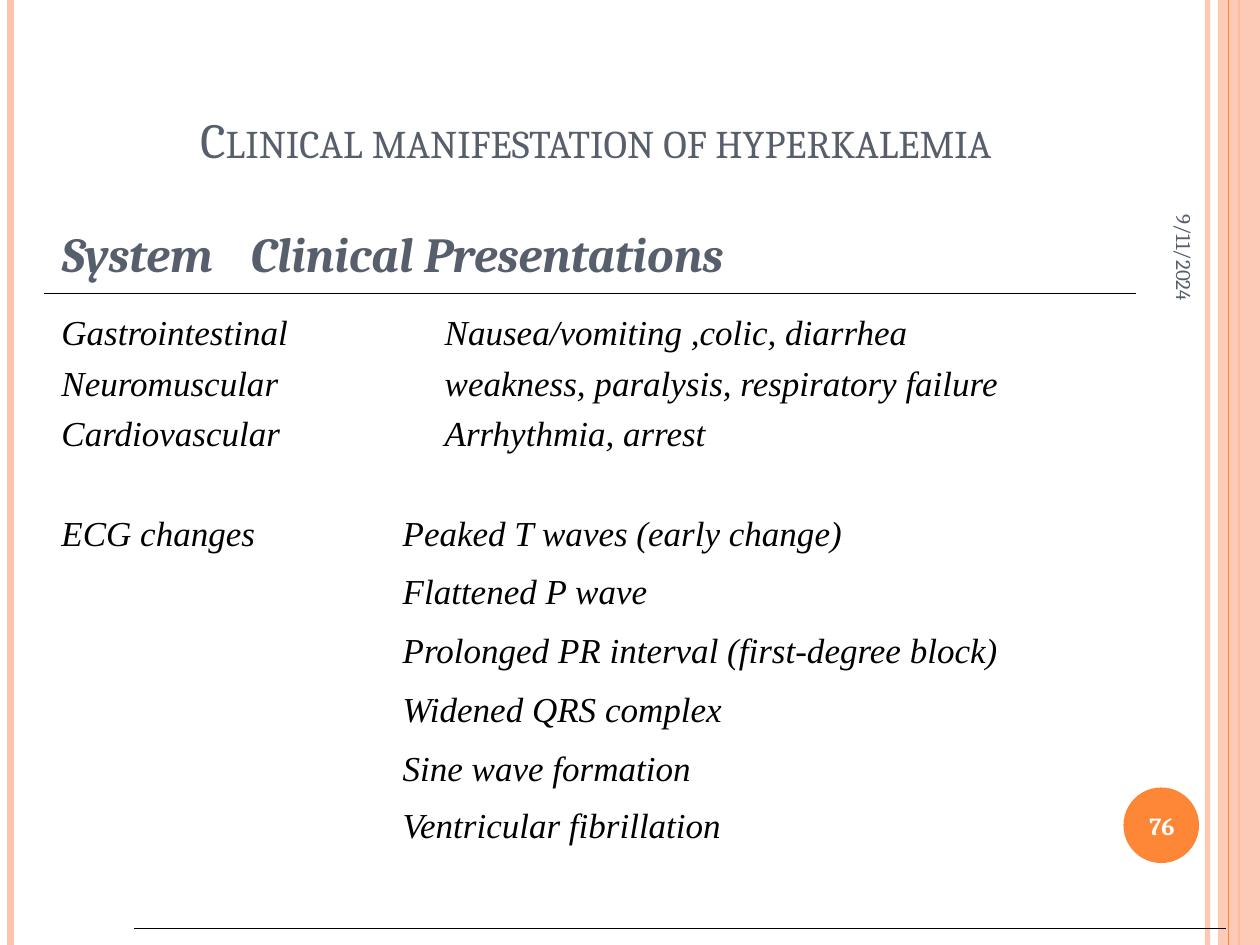
from lxml.etree import SubElement
from pptx import Presentation
from pptx.dml.color import RGBColor
from pptx.enum.shapes import MSO_CONNECTOR, MSO_SHAPE
from pptx.enum.text import MSO_ANCHOR, MSO_AUTO_SIZE, PP_ALIGN
from pptx.oxml.ns import qn
from pptx.util import Pt

WIDTH, HEIGHT = 720, 540
ORANGE, PEACH, SLATE, BLACK, WHITE = "FE8637", "FEC3AE", "575F6D", "000000", "FFFFFF"

HEADING = {"name": "Cambria", "size": Pt(28), "color": SLATE}
HEADER = {**HEADING, "bold": True, "italic": True}
BODY = {"name": "Times New Roman", "size": Pt(20), "color": BLACK, "italic": True}
DATE = {**HEADING, "size": Pt(12)}
NUMBER = {**HEADING, "size": Pt(14), "color": WHITE, "bold": True}

SYSTEM_TAB, ECG_TAB, HEADER_TAB = 219, 195, 222
ROW_GAP, GROUP_GAP = 4.8, 33
# text, tab stop, space before, line spacing
ROWS = [
    ("Gastrointestinal\tNausea/vomiting ,colic, diarrhea", SYSTEM_TAB, 0, 1),
    ("Neuromuscular\tweakness, paralysis, respiratory failure", SYSTEM_TAB, ROW_GAP, 1),
    ("Cardiovascular\tArrhythmia, arrest", SYSTEM_TAB, ROW_GAP, 1),
    ("ECG changes\tPeaked T waves (early change)", ECG_TAB, GROUP_GAP, 1),
    ("\tFlattened P wave", ECG_TAB, ROW_GAP, 1.2),
    ("\tProlonged PR interval (first-degree block)", ECG_TAB, ROW_GAP, 1.2),
    ("\tWidened QRS complex", ECG_TAB, ROW_GAP, 1.2),
    ("\tSine wave formation", ECG_TAB, ROW_GAP, 1.2),
    ("\tVentricular fibrillation", ECG_TAB, 8.4, 1),
]


def rgb(color):
    return RGBColor.from_string(color)


def set_alpha(color_format_parent, percent):
    """Make the solid colour found below an element partly transparent."""
    clr = next(color_format_parent.iter(qn("a:srgbClr")))
    SubElement(clr, qn("a:alpha"), val=str(percent * 1000))


def add_line(s, x1, y1, x2, y2, color, width, alpha=None):
    line = s.shapes.add_connector(MSO_CONNECTOR.STRAIGHT, Pt(x1), Pt(y1), Pt(x2), Pt(y2))
    line.line.color.rgb = rgb(color)
    line.line.width = Pt(width)
    if alpha:
        set_alpha(line.line._ln, alpha)
    SubElement(line._element.spPr, qn("a:effectLst"))


def add_block(s, kind, box, color, alpha=None):
    sp = s.shapes.add_shape(kind, *map(Pt, box))
    sp.shadow.inherit = False
    sp.fill.solid()
    sp.fill.fore_color.rgb = rgb(color)
    sp.line.fill.background()
    if alpha:
        set_alpha(sp._element.spPr, alpha)


def place(sp, box, anchor):
    """Move a text shape and return its text frame, ready for writing."""
    sp.left, sp.top, sp.width, sp.height = map(Pt, box)
    tf = sp.text_frame
    for key, value in {"word_wrap": True, "auto_size": MSO_AUTO_SIZE.NONE,
                       "vertical_anchor": anchor}.items():
        setattr(tf, key, value)
    return tf


def write(p, text, font, align=PP_ALIGN.LEFT, tab=None, before=0, spacing=1):
    for key, value in {"alignment": align, "space_before": Pt(before),
                       "line_spacing": spacing}.items():
        setattr(p, key, value)
    if tab:
        tabs = SubElement(p._p.get_or_add_pPr(), qn("a:tabLst"))
        SubElement(tabs, qn("a:tab"), pos=str(Pt(tab)), algn="l")
    r = p.add_run()
    r.text = text
    for key, value in font.items():
        if key == "color":
            r.font.color.rgb = rgb(value)
        else:
            setattr(r.font, key, value)
    return r


def add_label(s, box, text, font, align, rotation=0):
    sp = s.shapes.add_textbox(*map(Pt, box))
    sp.rotation = rotation
    write(place(sp, box, MSO_ANCHOR.MIDDLE).paragraphs[0], text, font, align)


def add_frame(s):
    for x, color, width, alpha in [(690, PEACH, 3, 93), (6, PEACH, 4.5, None),
                                   (708, ORANGE, 1.5, None)]:
        add_line(s, x, 0, x, HEIGHT, color, width, alpha)
    add_block(s, MSO_SHAPE.RECTANGLE, (696, 0, 24, HEIGHT), PEACH, 87)
    add_line(s, 702, 0, 702, HEIGHT, ORANGE, 0.75)
    add_block(s, MSO_SHAPE.OVAL, (642, 450, 43.2, 43.2), ORANGE)


def add_headings(s):
    title, header = s.placeholders
    tf = place(title, (107.3, -13, 612.7, 113), MSO_ANCHOR.BOTTOM)
    r = write(tf.paragraphs[0], "Clinical manifestation of hyperkalemia", HEADING)
    r._r.get_or_add_rPr().set("cap", "small")
    tf = place(header, (28, 128, 692, 45.4), MSO_ANCHOR.TOP)
    write(tf.paragraphs[0], "System\tClinical Presentations", HEADER,
          tab=HEADER_TAB, spacing=0.9)


def add_findings(s):
    box = (28, 174, 649.4, 374.4)
    tf = place(s.shapes.add_textbox(*map(Pt, box)), box, MSO_ANCHOR.TOP)
    for i, (text, tab, before, spacing) in enumerate(ROWS):
        p = tf.add_paragraph() if i else tf.paragraphs[0]
        write(p, text, BODY, tab=tab, before=before, spacing=spacing)


def main():
    prs = Presentation()
    prs.slide_width, prs.slide_height = Pt(WIDTH), Pt(HEIGHT)
    s = prs.slides.add_slide(prs.slide_layouts[0])
    add_frame(s)
    add_headings(s)
    add_findings(s)
    for x, y in [(76.4, 530.7), (25.4, 167.8)]:
        add_line(s, x + 624, y, x, y, BLACK, 0.75)
    add_label(s, (597.6, 85, 158.4, 30), "9/11/2024", DATE, PP_ALIGN.RIGHT, 90)
    add_label(s, (640, 451.4, 48, 41), "76", NUMBER, PP_ALIGN.CENTER)
    prs.save("out.pptx")


if __name__ == "__main__":
    main()
